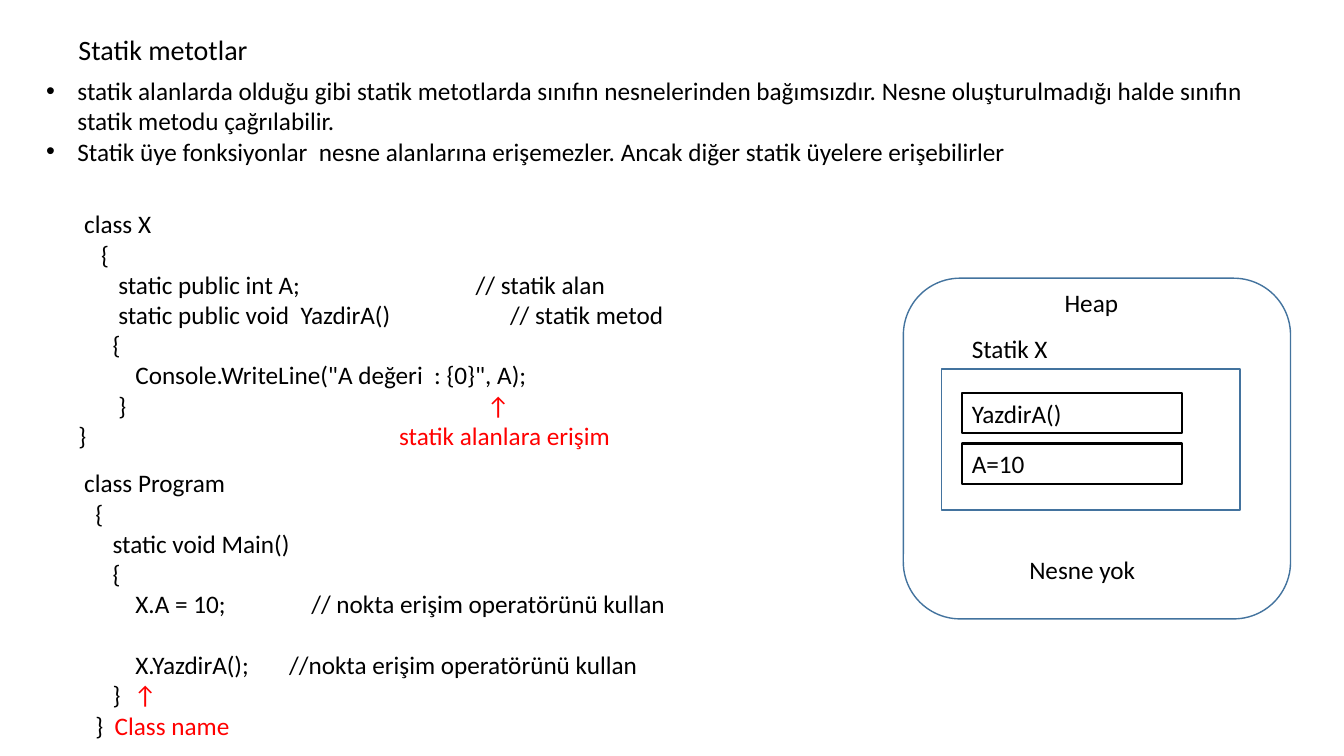
from dataclasses import dataclass

from lxml.etree import SubElement
from pptx import Presentation
from pptx.dml.color import RGBColor
from pptx.enum.shapes import MSO_SHAPE
from pptx.enum.text import MSO_ANCHOR, PP_ALIGN
from pptx.oxml.ns import qn
from pptx.util import Inches, Pt


@dataclass(frozen=True)
class Theme:
    """Font, type sizes and colours of the slide."""
    font: str = "Calibri"
    title: int = 20
    body: int = 18
    ink: str = "000000"
    accent: str = "FF0000"
    paper: str = "FFFFFF"
    outline: str = "43739E"


@dataclass(frozen=True)
class Line:
    """A code line with a note set at a tab stop."""
    code: str
    note: str = ""
    tab: float = 0
    color: str = Theme.ink
    before: float = 0


THEME = Theme()

INTRO = [
    "statik alanlarda olduğu gibi statik metotlarda sınıfın nesnelerinden bağımsızdır. "
    "Nesne oluşturulmadığı halde sınıfın statik metodu çağrılabilir.",
    "Statik üye fonksiyonlar  nesne alanlarına erişemezler. "
    "Ancak diğer statik üyelere erişebilirler",
]
CLASS_X = [
    Line(" class X"),
    Line("    {"),
    Line("       static public int A;", "// statik alan", 3.94),
    Line("       static public void  YazdirA()", "// statik metod", 4.28),
    Line("      {"),
    Line('          Console.WriteLine("A değeri  : {0}", A);'),
    Line("       }", "↑", 4.05, THEME.accent),
    Line("}", "statik alanlara erişim", 3.18, THEME.accent),
]
CLASS_PROGRAM = [
    Line(" class Program"),
    Line("   {"),
    Line("      static void Main()"),
    Line("      {"),
    Line("          X.A = 10;", "// nokta erişim operatörünü kullan", 2.31),
    Line("          X.YazdirA();", "//nokta erişim operatörünü kullan", 2.09, before=21.8),
    Line("      }", "↑", 0.55, THEME.accent),
    Line("   }", "Class name", 0.36, THEME.accent),
]


def add_run(p, text, size, color):
    """Append a formatted run to a paragraph."""
    r = p.add_run()
    r.text = text
    r.font.name = THEME.font
    r.font.size = Pt(size)
    r.font.color.rgb = RGBColor.from_string(color)


def add_bullet(p):
    """Give a paragraph a hanging round bullet."""
    pPr = p._p.get_or_add_pPr()
    pPr.set("marL", str(Inches(0.31)))
    pPr.set("indent", str(Inches(-0.31)))
    SubElement(pPr, qn("a:buFont"), typeface="Arial")
    SubElement(pPr, qn("a:buChar"), char="•")


def add_tab(p, position):
    """Give a paragraph one left tab stop."""
    tabs = SubElement(p._p.get_or_add_pPr(), qn("a:tabLst"))
    SubElement(tabs, qn("a:tab"), pos=str(Inches(position)), algn="l")


def write(tf, lines, size=THEME.body, bullet=False):
    """Fill a text frame with plain strings or code lines."""
    tf.word_wrap = True
    for i, item in enumerate(lines):
        line = item if isinstance(item, Line) else Line(item)
        p = tf.paragraphs[0] if i == 0 else tf.add_paragraph()
        p.alignment = PP_ALIGN.LEFT
        if line.before:
            p.space_before = Pt(line.before)
        if bullet:
            add_bullet(p)
        if line.note:
            add_tab(p, line.tab)
        add_run(p, line.code, size, THEME.ink)
        if line.note:
            add_run(p, "\t" + line.note, size, line.color)


def add_text(s, box, lines, **fmt):
    """Add a wrapping text box."""
    write(s.shapes.add_textbox(*map(Inches, box)).text_frame, lines, **fmt)


def add_box(s, box, kind=MSO_SHAPE.RECTANGLE, fill=None, line=THEME.ink, width=1.5, label=None):
    """Add an outlined shape with an optional label."""
    sp = s.shapes.add_shape(kind, *map(Inches, box))
    sp.shadow.inherit = False
    if fill:
        sp.fill.solid()
        sp.fill.fore_color.rgb = RGBColor.from_string(fill)
    else:
        sp.fill.background()
    sp.line.color.rgb = RGBColor.from_string(line)
    sp.line.width = Pt(width)
    if label:
        sp.text_frame.vertical_anchor = MSO_ANCHOR.MIDDLE
        write(sp.text_frame, [label])


def add_heap(s):
    """Draw the heap diagram with the static class members."""
    frame = dict(fill=THEME.paper, line=THEME.outline, width=1)
    add_box(s, (8.96, 2.76, 3.84, 3.38), MSO_SHAPE.ROUNDED_RECTANGLE, **frame)
    add_text(s, (9.54, 3.26, 2.36, 0.4), ["Statik X"])
    add_box(s, (9.34, 3.66, 2.96, 1.4), **frame)
    for i, member in enumerate(("YazdirA()", "A=10")):
        add_box(s, (9.54, 3.9 + 0.5 * i, 2.18, 0.4), label=member)
    add_text(s, (10.46, 2.8, 1.55, 0.4), ["Heap"])
    add_text(s, (10.11, 5.45, 1.55, 0.4), ["Nesne yok"])


def main():
    """Build and save the slide."""
    prs = Presentation()
    prs.slide_width, prs.slide_height = Inches(13.33), Inches(7.5)
    s = prs.slides.add_slide(prs.slide_layouts[6])
    add_text(s, (0.68, 0.27, 4.68, 0.44), ["Statik metotlar"], size=THEME.title)
    add_text(s, (0.36, 0.7, 12.12, 1.31), INTRO, bullet=True)
    add_text(s, (0.68, 2.02, 9.32, 2.52), CLASS_X)
    add_text(s, (0.68, 4.59, 6.67, 2.52), CLASS_PROGRAM)
    add_heap(s)
    prs.save("out.pptx")


if __name__ == "__main__":
    main()
